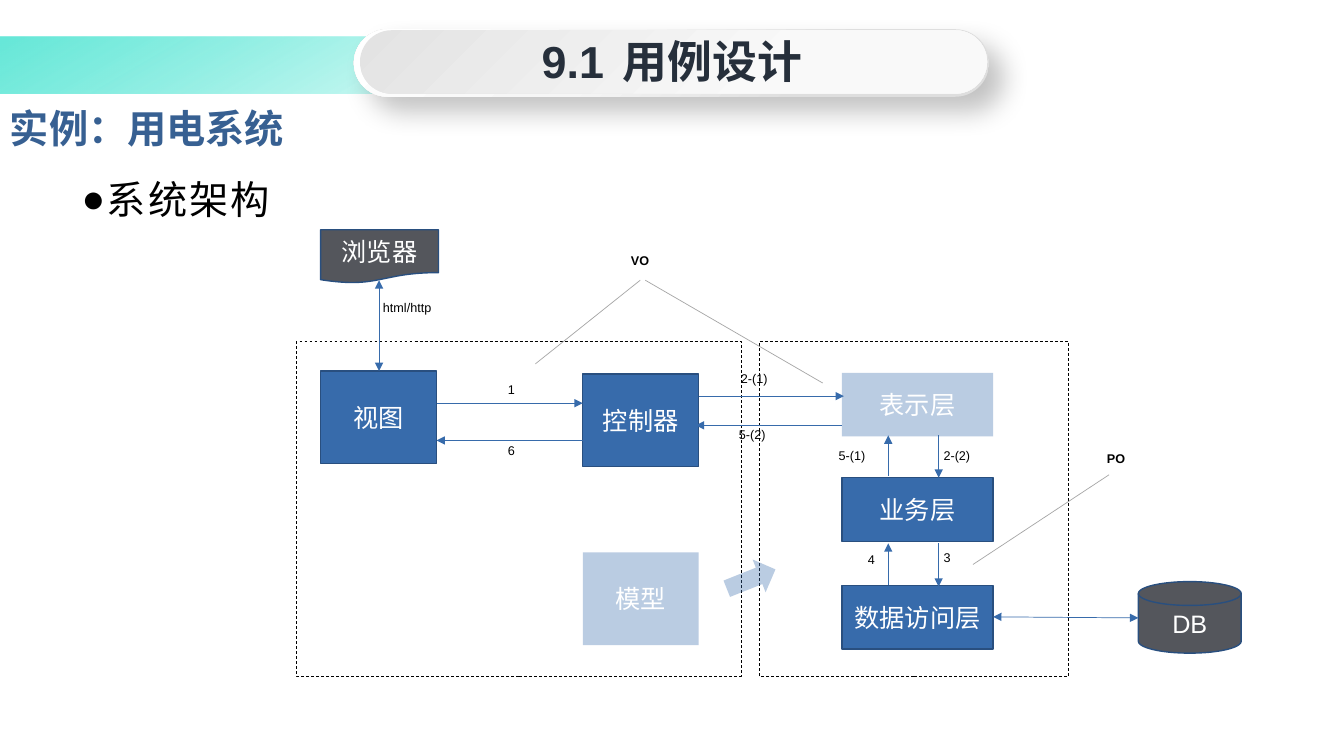
from lxml.etree import SubElement
from pptx import Presentation
from pptx.dml.color import RGBColor
from pptx.enum.dml import MSO_LINE
from pptx.enum.shapes import MSO_CONNECTOR, MSO_SHAPE
from pptx.enum.text import MSO_ANCHOR, MSO_AUTO_SIZE, PP_ALIGN
from pptx.oxml import parse_xml
from pptx.oxml.ns import nsdecls, qn
from pptx.util import Inches, Pt

BLUE, NAVY, GRAY, WHITE, BLACK = "376BAB", "294F7F", "54565C", "FFFFFF", "000000"
CJK_FONT = "Noto Sans CJK SC"


def solid(fill, color):
    fill.solid()
    fill.fore_color.rgb = RGBColor.from_string(color)


def write(para, text, size, color, bold=False, face="Arial", spacing=0):
    span = para.add_run()
    span.text = text
    span.font.size = Pt(size)
    span.font.bold = bold
    span.font.name = face
    solid(span.font.fill, color)
    properties = span._r.get_or_add_rPr()
    properties.set("spc", str(spacing))
    SubElement(properties, qn("a:ea"), typeface=CJK_FONT)


deck = Presentation()
deck.slide_width = Inches(13.33)
deck.slide_height = Inches(7.5)
page = deck.slides.add_slide(deck.slide_layouts[1])

title_bars = [
    (MSO_SHAPE.RECTANGLE, -0.01, 0.36, 13.17, 0.57, 60,
     [(1, "4EE4D2", 85), (50, "20E2CB", 0)]),
    (MSO_SHAPE.ROUNDED_RECTANGLE, 3.51, 0.29, 6.3, 0.67, 225,
     [(1, "DEDEDE", 100), (30, "E0E0E0", 100), (61, "F6F6F6", 100), (100, WHITE, 100)]),
    (MSO_SHAPE.ROUNDED_RECTANGLE, 3.57, 0.3, 6.22, 0.63, 45,
     [(0, "E3E3E3", 100), (67, "F9F9F9", 100)]),
]
bars = []
for kind, left, top, width, height, angle, stops in title_bars:
    bar = page.shapes.add_shape(kind, Inches(left), Inches(top), Inches(width), Inches(height))
    bar.shadow.inherit = False
    bar.line.fill.background()
    if kind == MSO_SHAPE.ROUNDED_RECTANGLE:
        bar.adjustments[0] = 0.5
    stop_xml = "".join(
        f'<a:gs pos="{position * 1000}"><a:srgbClr val="{color}">'
        f'<a:alpha val="{opacity * 1000}"/></a:srgbClr></a:gs>'
        for position, color, opacity in stops)
    bar.element.spPr.find(qn("a:prstGeom")).addnext(parse_xml(
        f'<a:gradFill {nsdecls("a")} rotWithShape="1"><a:gsLst>{stop_xml}</a:gsLst>'
        f'<a:lin ang="{angle * 60000}" scaled="0"/></a:gradFill>'))
    bars.append(bar)

bars[1].element.spPr.find(qn("a:effectLst")).append(parse_xml(
    f'<a:outerShdw {nsdecls("a")} blurRad="{Pt(19)}" dist="{Pt(14)}" dir="2700000" '
    'algn="tl" rotWithShape="0"><a:srgbClr val="000000"><a:alpha val="24000"/>'
    '</a:srgbClr></a:outerShdw>'))

title = page.shapes.title
title.left, title.top, title.width, title.height = map(Inches, (3.81, 0.28, 5.71, 0.64))
title.text_frame.auto_size = MSO_AUTO_SIZE.NONE
title.text_frame.vertical_anchor = MSO_ANCHOR.MIDDLE
para = title.text_frame.paragraphs[0]
para.alignment = PP_ALIGN.CENTER
for text, spacing in [("9.1", 0), (" ", 450), ("用例设计", 0)]:
    write(para, text, 32, "262F3B", True, spacing=spacing)
bars[-1].element.addnext(title.element)

box = page.shapes.add_textbox(Inches(0), Inches(0.93), Inches(13.33), Inches(0.67))
box.text_frame.word_wrap = True
box.text_frame.vertical_anchor = MSO_ANCHOR.MIDDLE
write(box.text_frame.paragraphs[0], "实例：用电系统", 28, "376092", True)

body = page.placeholders[1]
body.left, body.top, body.width, body.height = map(Inches, (0.7, 1.6, 11.87, 5.9))
frame = body.text_frame
frame.auto_size = MSO_AUTO_SIZE.NONE
frame.margin_left, frame.margin_right = Inches(0.11), Inches(0.09)
frame.margin_top = frame.margin_bottom = 0
para = frame.paragraphs[0]
layout = para._p.get_or_add_pPr()
layout.set("marL", str(Inches(0.25)))
layout.set("indent", str(-Inches(0.25)))
SubElement(layout, qn("a:buFont"), typeface="Arial")
SubElement(layout, qn("a:buChar"), char="●")
para.line_spacing = 1.3
para.space_before = Pt(0)
para.space_after = Pt(10)
write(para, "系统架构", 28, BLACK, face=CJK_FONT, spacing=150)

for left, width in [(2.94, 4.41), (7.53, 3.07)]:
    border = page.shapes.add_shape(
        MSO_SHAPE.RECTANGLE, Inches(left), Inches(3.39), Inches(width), Inches(3.32))
    border.shadow.inherit = False
    border.fill.background()
    solid(border.line.fill, BLACK)
    border.line.width = Pt(0.5)
    border.line.dash_style = MSO_LINE.DASH

RECT = MSO_SHAPE.RECTANGLE
nodes = [
    ("视图", RECT, 3.18, 3.68, 1.15, 0.92, BLUE, 100),
    ("控制器", RECT, 5.78, 3.71, 1.15, 0.92, BLUE, 100),
    ("模型", RECT, 5.78, 5.48, 1.15, 0.92, BLUE, 34),
    ("表示层", RECT, 8.35, 3.7, 1.5, 0.63, BLUE, 34),
    ("业务层", RECT, 8.35, 4.74, 1.5, 0.63, BLUE, 100),
    ("数据访问层", RECT, 8.35, 5.81, 1.5, 0.63, BLUE, 100),
    ("DB", MSO_SHAPE.FLOWCHART_MAGNETIC_DISK, 11.29, 5.77, 1.02, 0.71, GRAY, 100),
    ("浏览器", MSO_SHAPE.FLOWCHART_DOCUMENT, 3.18, 2.28, 1.17, 0.53, GRAY, 100),
    ("", MSO_SHAPE.RIGHT_ARROW, 7.19, 5.57, 0.52, 0.35, BLUE, 34),
]
for text, kind, left, top, width, height, color, opacity in nodes:
    node = page.shapes.add_shape(kind, Inches(left), Inches(top), Inches(width), Inches(height))
    node.shadow.inherit = False
    solid(node.fill, color)
    if opacity < 100:
        tint = node.element.spPr.find(".//" + qn("a:srgbClr"))
        SubElement(tint, qn("a:alpha"), val=str(opacity * 1000))
        node.line.fill.background()
    else:
        solid(node.line.fill, NAVY)
        node.line.width = Pt(1)
    if kind == MSO_SHAPE.RIGHT_ARROW:
        node.rotation = 338.3
    if text:
        node.text_frame.vertical_anchor = MSO_ANCHOR.MIDDLE
        para = node.text_frame.paragraphs[0]
        para.alignment = PP_ALIGN.CENTER
        write(para, text, 18, WHITE)

ONE_WAY, TWO_WAY = ["tailEnd"], ["headEnd", "tailEnd"]
links = [
    (4.33, 4, 5.78, 4, ONE_WAY),
    (5.78, 4.37, 4.33, 4.37, ONE_WAY),
    (6.93, 3.93, 8.37, 3.93, ONE_WAY),
    (8.35, 4.22, 6.9, 4.22, ONE_WAY),
    (9.31, 4.32, 9.31, 4.74, ONE_WAY),
    (9.31, 5.39, 9.31, 5.82, ONE_WAY),
    (8.81, 5.8, 8.81, 5.39, ONE_WAY),
    (8.81, 4.72, 8.81, 4.32, ONE_WAY),
    (9.85, 6.12, 11.29, 6.13, TWO_WAY),
    (3.76, 3.68, 3.76, 2.78, TWO_WAY),
    (6.35, 2.78, 5.31, 3.61, []),
    (6.4, 2.78, 8.16, 3.8, []),
    (11, 4.71, 9.65, 5.6, []),
]
for start_x, start_y, end_x, end_y, arrowheads in links:
    link = page.shapes.add_connector(
        MSO_CONNECTOR.STRAIGHT, Inches(start_x), Inches(start_y), Inches(end_x), Inches(end_y))
    solid(link.line.fill, BLUE if arrowheads else "A6A6A6")
    link.line.width = Pt(0.5)
    for end in arrowheads:
        SubElement(link.element.spPr.find(qn("a:ln")), qn("a:" + end), type="triangle")
    SubElement(link.element.spPr, qn("a:effectLst"))

labels = [
    ("1", 4.94, 3.74, 0.27), ("6", 4.94, 4.34, 0.27),
    ("3", 9.26, 5.41, 0.27), ("4", 8.51, 5.43, 0.27),
    ("2-(1)", 7.25, 3.63, 0.49), ("2-(2)", 9.26, 4.39, 0.49),
    ("5-(1)", 8.22, 4.39, 0.49), ("5-(2)", 7.23, 4.19, 0.49),
    ("html/http", 3.7, 2.93, 0.68),
    ("VO", 6.16, 2.46, 0.38), ("PO", 10.88, 4.42, 0.38),
]
for text, left, top, width in labels:
    label = page.shapes.add_textbox(Inches(left), Inches(top), Inches(width), Inches(0.25))
    label.text_frame.word_wrap = False
    label.text_frame.auto_size = MSO_AUTO_SIZE.SHAPE_TO_FIT_TEXT
    write(label.text_frame.paragraphs[0], text, 9, BLACK, text in ("VO", "PO"))

deck.save("out.pptx")
